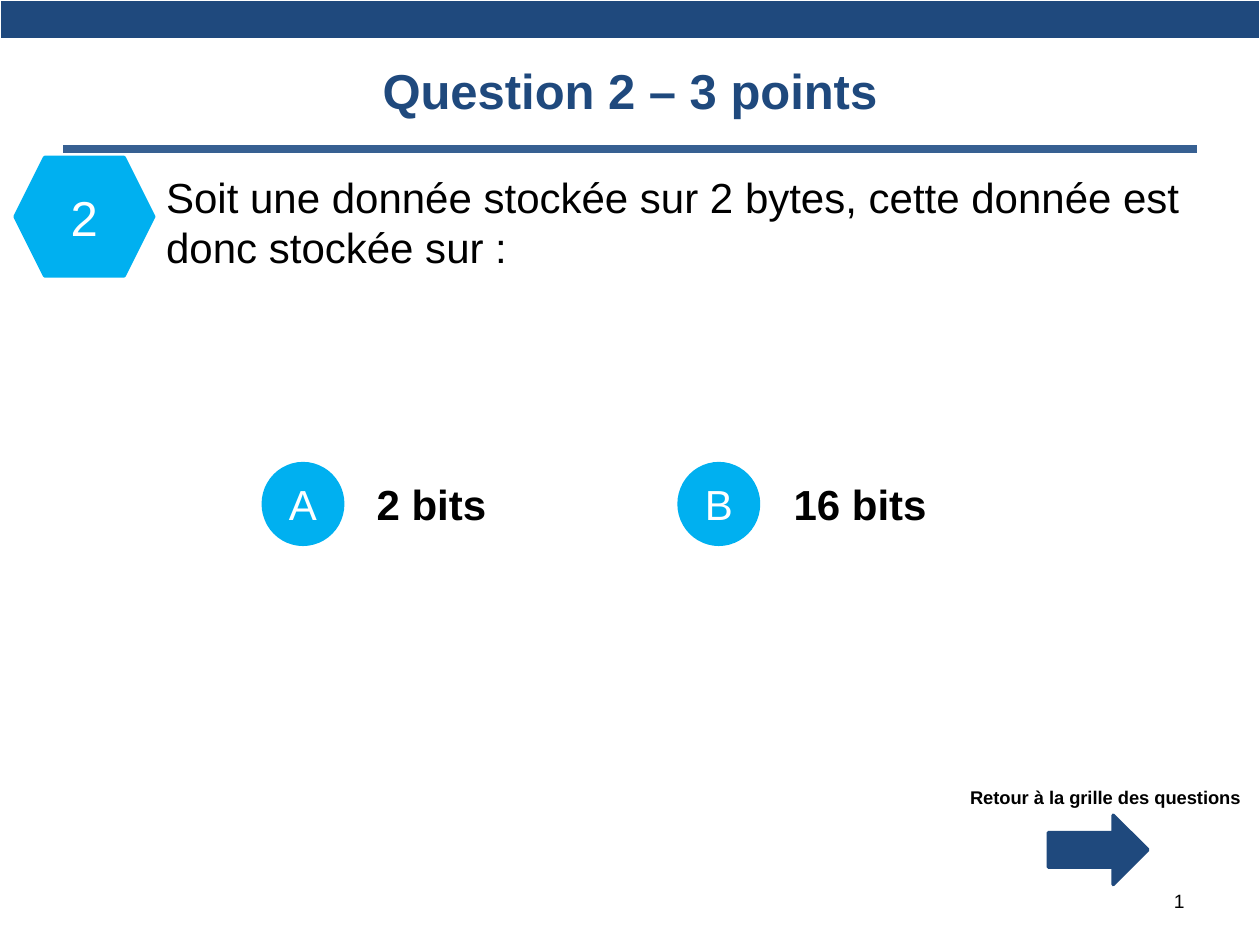
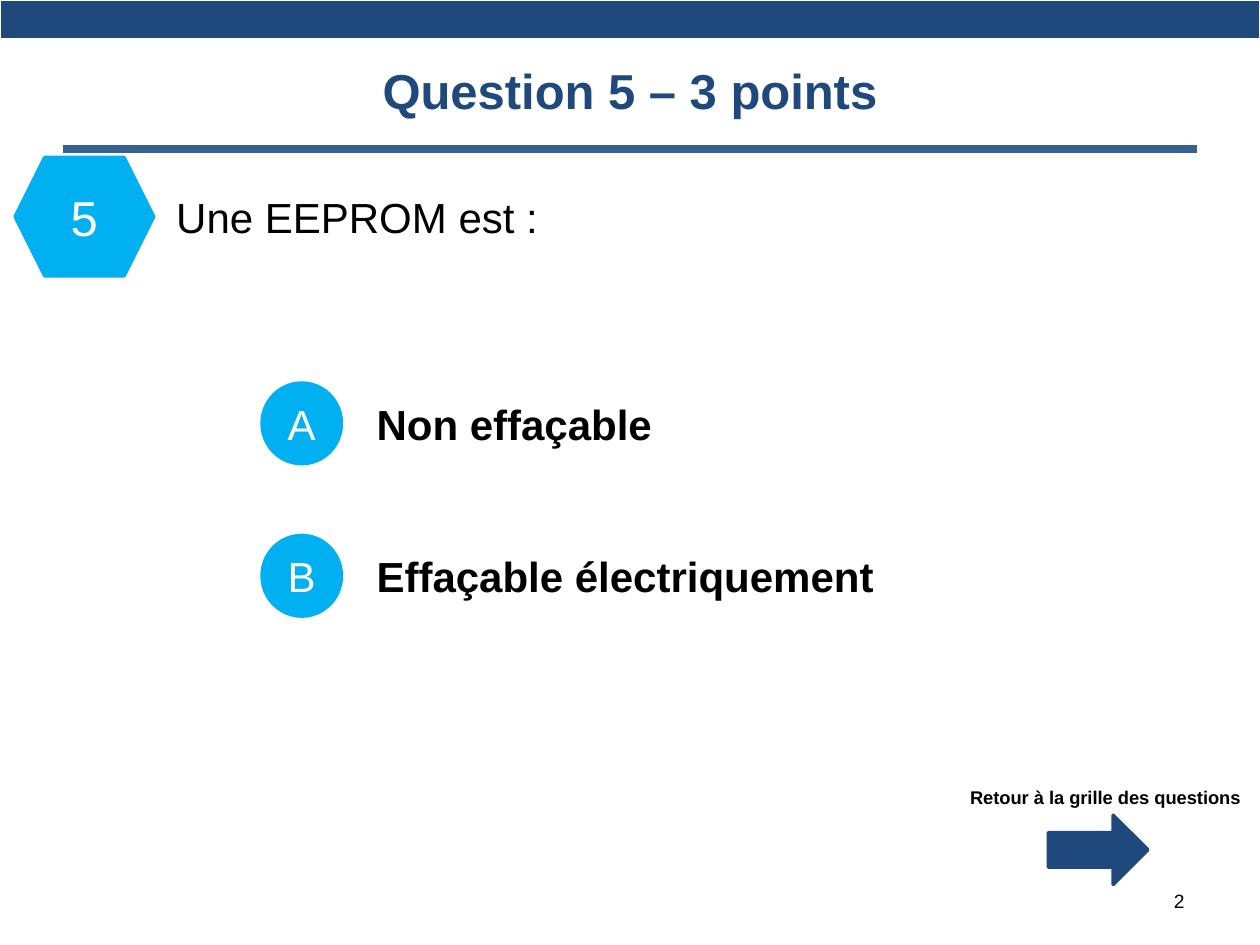
from lxml import etree
from pptx import Presentation
from pptx.dml.color import RGBColor
from pptx.enum.shapes import MSO_CONNECTOR, MSO_SHAPE
from pptx.enum.text import MSO_ANCHOR, MSO_AUTO_SIZE, PP_ALIGN
from pptx.oxml import parse_xml
from pptx.oxml.ns import nsdecls, qn
from pptx.util import Inches, Pt

NAVY, RULE, CYAN = "1F497D", "376092", "00B0F0"
WHITE, BLACK = "FFFFFF", "000000"
FONT = "Arial"

# Answers are (letter, text, badge left, badge top, text left, text width).
QUESTIONS = [
    {
        "number": "2",
        "text": "Soit une donnée stockée sur 2 bytes, cette donnée est donc stockée sur :",
        "box": (1.22, 1.31, 8.35, 0.91),
        "answers": [
            ("A", "2 bits", 2.09, 3.68, 2.89, 1.08),
            ("B", "16 bits", 5.39, 3.68, 6.2, 1.27),
        ],
    },
    {
        "number": "5",
        "text": "Une EEPROM est :",
        "box": (1.3, 1.47, 8.35, 0.5),
        "answers": [
            ("A", "Non effaçable", 2.08, 3.04, 2.89, 2.41),
            ("B", "Effaçable électriquement", 2.08, 4.25, 2.89, 4.19),
        ],
    },
]


def write_text(shape, text, size, color, bold=False, align=PP_ALIGN.LEFT,
               anchor=MSO_ANCHOR.TOP, wrap=True):
    frame = shape.text_frame
    frame.word_wrap = wrap
    frame.vertical_anchor = anchor
    paragraph = frame.paragraphs[0]
    paragraph.text = text
    paragraph.alignment = align
    font = paragraph.font
    font.name, font.size, font.bold = FONT, Pt(size), bold
    font.color.rgb = RGBColor.from_string(color)
    return frame


def add_solid_shape(slide, preset, box, color):
    shape = slide.shapes.add_shape(preset, *map(Inches, box))
    shape.shadow.inherit = False
    shape.fill.solid()
    shape.fill.fore_color.rgb = RGBColor.from_string(color)
    shape.line.color.rgb = RGBColor.from_string(color)
    shape.line.width = Pt(2)
    return shape


presentation = Presentation()
presentation.slide_width = Inches(10)
presentation.slide_height = Inches(7.5)
title_only = presentation.slide_layouts[5]

for page, question in enumerate(QUESTIONS, start=1):
    slide = presentation.slides.add_slide(title_only)
    shapes = slide.shapes

    # Rule under the title
    rule = shapes.add_connector(MSO_CONNECTOR.STRAIGHT, Inches(0.5), Inches(1.18),
                                Inches(9.5), Inches(1.18))
    rule.line.color.rgb = RGBColor.from_string(RULE)
    rule.line.width = Pt(4.5)
    etree.SubElement(rule._element.spPr, qn("a:effectLst"))

    # Top band
    band = shapes.add_table(1, 1, 0, 0, Inches(10), Inches(0.31)).table
    cell = band.cell(0, 0)
    cell.margin_top = cell.margin_bottom = 0
    cell.fill.solid()
    cell.fill.fore_color.rgb = RGBColor.from_string(NAVY)

    # Title
    title = shapes.title
    title.left, title.top, title.width, title.height = map(Inches, (0.5, 0.17, 9, 1.08))
    write_text(title, f"Question {question['number']} – 3 points", 28, NAVY, bold=True,
               align=PP_ALIGN.CENTER, anchor=MSO_ANCHOR.MIDDLE)

    # Slide number
    number_box = shapes.add_textbox(*map(Inches, (7.17, 6.95, 2.33, 0.4)))
    frame = write_text(number_box, "", 11, BLACK, align=PP_ALIGN.RIGHT,
                       anchor=MSO_ANCHOR.MIDDLE)
    frame.paragraphs[0]._p.append(parse_xml(
        f'<a:fld {nsdecls("a")} id="{{B6F15528-21DE-4FAA-801E-634DDDAF4B2B}}" type="slidenum">'
        f'<a:rPr lang="fr-FR" sz="1100"><a:latin typeface="{FONT}"/></a:rPr>'
        f'<a:t>{page}</a:t></a:fld>'))

    # Question
    hexagon = add_solid_shape(slide, MSO_SHAPE.HEXAGON, (0.12, 1.25, 1.1, 0.94), CYAN)
    write_text(hexagon, question["number"], 28, WHITE, align=PP_ALIGN.CENTER,
               anchor=MSO_ANCHOR.MIDDLE)
    question_box = shapes.add_textbox(*map(Inches, question["box"]))
    frame = write_text(question_box, question["text"], 24, BLACK)
    frame.auto_size = MSO_AUTO_SIZE.SHAPE_TO_FIT_TEXT

    # Way back to the grid
    add_solid_shape(slide, MSO_SHAPE.RIGHT_ARROW, (8.32, 6.47, 0.79, 0.55), NAVY)
    return_box = shapes.add_textbox(*map(Inches, (7.6, 6.19, 2.38, 0.28)))
    frame = write_text(return_box, "Retour à la grille des questions", 10.5, BLACK,
                       bold=True, wrap=False)
    frame.auto_size = MSO_AUTO_SIZE.SHAPE_TO_FIT_TEXT

    # Answers
    for letter, answer, badge_left, badge_top, text_left, text_width in question["answers"]:
        badge = add_solid_shape(slide, MSO_SHAPE.FLOWCHART_CONNECTOR,
                                (badge_left, badge_top, 0.63, 0.64), CYAN)
        write_text(badge, letter, 24, WHITE, align=PP_ALIGN.CENTER,
                   anchor=MSO_ANCHOR.MIDDLE)
        answer_box = shapes.add_textbox(
            *map(Inches, (text_left, badge_top + 0.07, text_width, 0.5)))
        frame = write_text(answer_box, answer, 24, BLACK, bold=True, wrap=False)
        frame.auto_size = MSO_AUTO_SIZE.SHAPE_TO_FIT_TEXT

presentation.save("out.pptx")
